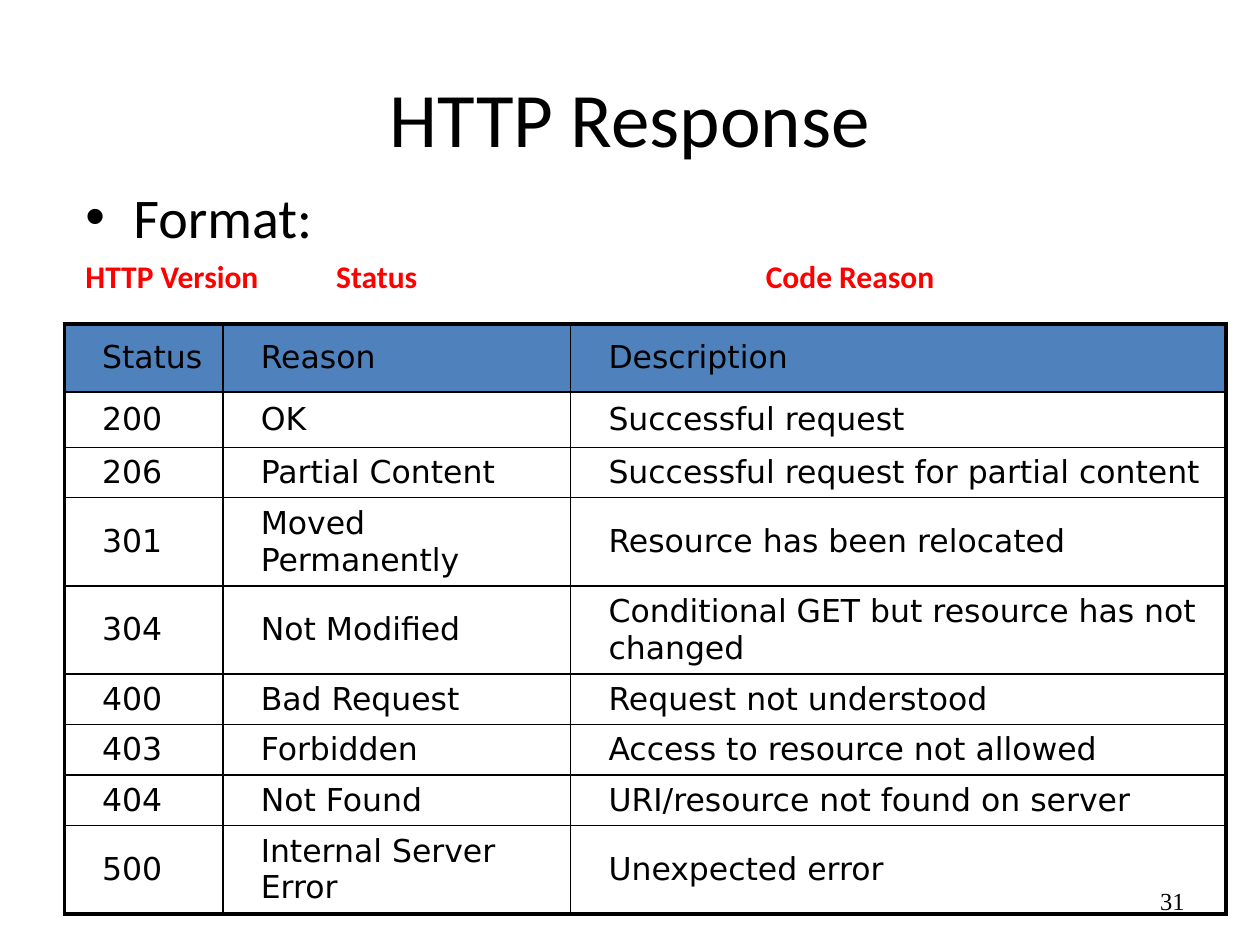
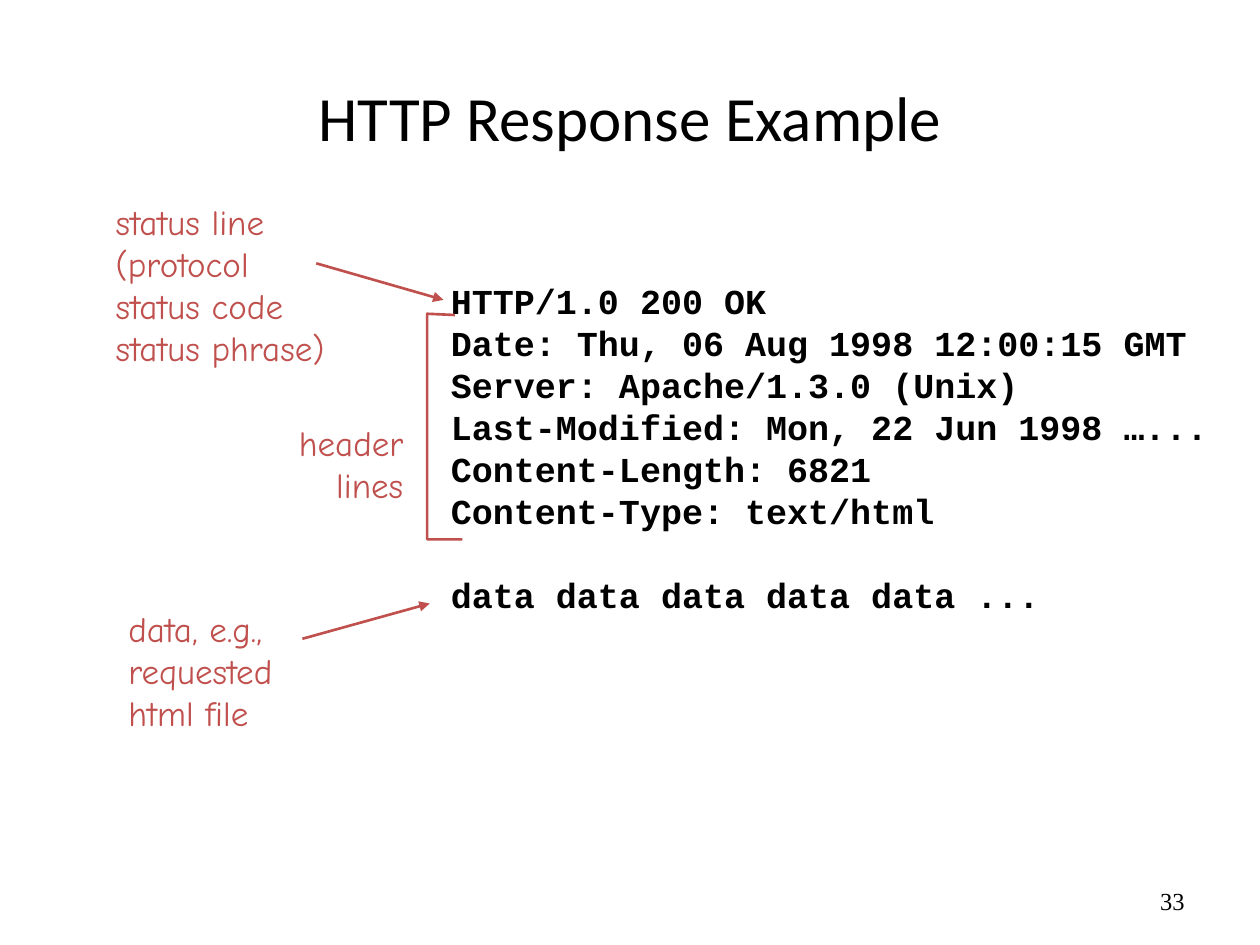
from dataclasses import dataclass

from lxml import etree
from pptx import Presentation
from pptx.dml.color import RGBColor
from pptx.enum.shapes import MSO_CONNECTOR
from pptx.enum.text import MSO_ANCHOR, PP_ALIGN
from pptx.oxml.ns import qn
from pptx.util import Inches, Pt

LEFT, CENTER, RIGHT = PP_ALIGN.LEFT, PP_ALIGN.CENTER, PP_ALIGN.RIGHT
TOP, MIDDLE = MSO_ANCHOR.TOP, MSO_ANCHOR.MIDDLE
STRAIGHT = MSO_CONNECTOR.STRAIGHT

COLORS = {"text": "000000", "key": "FF0000", "note": "C0504D", "header": "4F81BD"}
BODY, CODE, NOTE = "Calibri", "Courier New", "Comic Neue"
TABLE, NUMBER = "DejaVu Sans", "Times New Roman"


@dataclass
class Style:
    font: str
    size: float
    color: str = "text"
    bold: bool = False


@dataclass
class Block:
    """A text box holding lines of one style."""
    at: tuple
    lines: list
    style: Style
    align: int = LEFT
    anchor: int = TOP
    wrap: bool = True
    pitch: float = 0


@dataclass
class Arrow:
    start: tuple
    end: tuple


NOTE_STYLE = Style(NOTE, 20, "note")
LINE_PITCH = 24


def rgb(name: str) -> RGBColor:
    return RGBColor.from_string(COLORS[name])


def add_run(p, text: str, style: Style) -> None:
    r = p.add_run()
    r.text = text
    r.font.name, r.font.size, r.font.bold = style.font, Pt(style.size), style.bold
    r.font.color.rgb = rgb(style.color)


def add_block(s, block: Block):
    """Draw a text box and return its text frame."""
    tf = s.shapes.add_textbox(*map(Inches, block.at)).text_frame
    tf.word_wrap, tf.vertical_anchor = block.wrap, block.anchor
    for i, line in enumerate(block.lines):
        p = tf.add_paragraph() if i else tf.paragraphs[0]
        p.alignment = block.align
        if block.pitch:
            p.line_spacing = Pt(block.pitch)
        add_run(p, line, block.style)
    return tf


def new_slide(prs, title: str, title_size: float, number: int):
    """Add a slide with the shared title and page number."""
    s = prs.slides.add_slide(prs.slide_layouts[6])
    add_block(s, Block((0.5, 0.3, 9, 1.25), [title], Style(BODY, title_size), CENTER, MIDDLE))
    return s, Block((7.17, 6.95, 2.33, 0.4), [str(number)], Style(NUMBER, 14), RIGHT, MIDDLE)


def set_borders(cell, widths: dict) -> None:
    tc_pr = cell._tc.get_or_add_tcPr()
    for side in "LRTB":
        ln = etree.SubElement(tc_pr, qn(f"a:ln{side}"), w=str(Pt(widths[side])))
        fill = etree.SubElement(ln, qn("a:solidFill"))
        etree.SubElement(fill, qn("a:srgbClr"), val=COLORS["text"])


def add_status_table(s, rows: list, col_widths: list, row_heights: list) -> None:
    n_rows, n_cols = len(rows), len(col_widths)
    table = s.shapes.add_table(n_rows, n_cols, Inches(0.51), Inches(2.57),
                               Inches(sum(col_widths)), Inches(sum(row_heights))).table
    table.first_row = table.horz_banding = False
    for column, width in zip(table.columns, col_widths):
        column.width = Inches(width)
    for i, row in enumerate(rows):
        table.rows[i].height = Inches(row_heights[i])
        for j, text in enumerate(row):
            cell = table.cell(i, j)
            cell.vertical_anchor = MIDDLE
            cell.margin_left, cell.margin_right = Inches(0.1), Inches(0.1)
            cell.margin_top = cell.margin_bottom = Inches(0.05)
            # Thick outside edge, thin inner grid
            edges = {"L": j == 0, "R": j == n_cols - 1, "T": i == 0, "B": i == n_rows - 1}
            set_borders(cell, {side: 2.25 if outer else 1 for side, outer in edges.items()})
            if i == 0:
                cell.fill.solid()
                cell.fill.fore_color.rgb = rgb("header")
            else:
                cell.fill.background()
            p = cell.text_frame.paragraphs[0]
            p._p.get_or_add_pPr().set("marL", str(Inches(0.2)))
            add_run(p, text, Style(TABLE, 18))


def add_arrow(s, arrow: Arrow) -> None:
    line = s.shapes.add_connector(STRAIGHT, *map(Inches, arrow.start + arrow.end))
    line.line.color.rgb, line.line.width = rgb("note"), Pt(1.5)
    etree.SubElement(line.line._get_or_add_ln(), qn("a:tailEnd"), type="triangle")
    etree.SubElement(line._element.spPr, qn("a:effectLst"))


def add_bracket(s, points: list) -> None:
    first, *rest = [(Inches(x), Inches(y)) for x, y in points]
    builder = s.shapes.build_freeform(*first)
    builder.add_line_segments(rest, close=False)
    sp = builder.convert_to_shape()
    sp.shadow.inherit = False
    sp.fill.background()
    sp.line.color.rgb, sp.line.width = rgb("note"), Pt(1.5)


def build_status_slide(prs) -> None:
    s, page_number = new_slide(prs, "HTTP Response", 44, 31)

    # Bulleted heading and the tabbed status line fields
    tf = add_block(s, Block((0.58, 1.4, 8.5, 5.43), ["Format:"], Style(BODY, 32)))
    p_pr = tf.paragraphs[0]._p.get_or_add_pPr()
    p_pr.set("marL", str(Inches(0.38)))
    p_pr.set("indent", str(Inches(-0.38)))
    etree.SubElement(p_pr, qn("a:buFont"), typeface="Arial")
    etree.SubElement(p_pr, qn("a:buChar"), char="•")
    p = tf.add_paragraph()
    p.space_before = Pt(4)
    tabs = etree.SubElement(p._p.get_or_add_pPr(), qn("a:tabLst"))
    for stop in (1.99, 5.4):
        etree.SubElement(tabs, qn("a:tab"), pos=str(Inches(stop)), algn="l")
    add_run(p, "HTTP Version\tStatus\tCode Reason", Style(BODY, 18, "key", True))

    # Status codes
    rows = [
        ("Status", "Reason", "Description"),
        ("200", "OK", "Successful request"),
        ("206", "Partial Content", "Successful request for partial content"),
        ("301", "Moved Permanently", "Resource has been relocated"),
        ("304", "Not Modified", "Conditional GET but resource has not changed"),
        ("400", "Bad Request", "Request not understood"),
        ("403", "Forbidden", "Access to resource not allowed"),
        ("404", "Not Found", "URI/resource not found on server"),
        ("500", "Internal Server Error", "Unexpected error"),
    ]
    add_status_table(s, rows, [1.26, 2.76, 5.2],
                     [0.54, 0.44, 0.4, 0.7, 0.7, 0.4, 0.4, 0.4, 0.7])
    add_block(s, page_number)


def build_example_slide(prs) -> None:
    s, page_number = new_slide(prs, "HTTP Response Example", 36, 33)
    add_block(s, page_number)

    # Response message, with the body set off by one line
    response = ["HTTP/1.0 200 OK", "Date: Thu, 06 Aug 1998 12:00:15 GMT",
                "Server: Apache/1.3.0 (Unix)", "Last-Modified: Mon, 22 Jun 1998 …...",
                "Content-Length: 6821", "Content-Type: text/html",
                "data data data data data ..."]
    tf = add_block(s, Block((3.48, 2.17, 6.37, 2.77), response,
                            Style(CODE, 20, bold=True), wrap=False, pitch=LINE_PITCH))
    tf.paragraphs[-1].space_before = Pt(LINE_PITCH)

    # Notes on the parts of the message
    notes = [
        ((0.82, 1.54, 2.08, 1.43),
         ["status line", "(protocol", "status code", "status phrase)"], LEFT),
        ((2.19, 3.3, 1.11, 0.77), ["header", "lines"], RIGHT),
        ((0.92, 4.77, 1.54, 1.1), ["data, e.g.,", "requested", "html file"], LEFT),
    ]
    for at, lines, align in notes:
        add_block(s, Block(at, lines, NOTE_STYLE, align, wrap=False, pitch=LINE_PITCH))

    # Pointers and header bracket
    for arrow in (Arrow((2.51, 2.09), (3.52, 2.38)), Arrow((2.4, 5.07), (3.41, 4.79))):
        add_arrow(s, arrow)
    add_bracket(s, [(3.61, 2.5), (3.39, 2.49), (3.39, 4.28), (3.67, 4.28)])


def main() -> None:
    prs = Presentation()
    prs.slide_width, prs.slide_height = Inches(10), Inches(7.5)
    build_status_slide(prs)
    build_example_slide(prs)
    prs.save("out.pptx")


if __name__ == "__main__":
    main()
